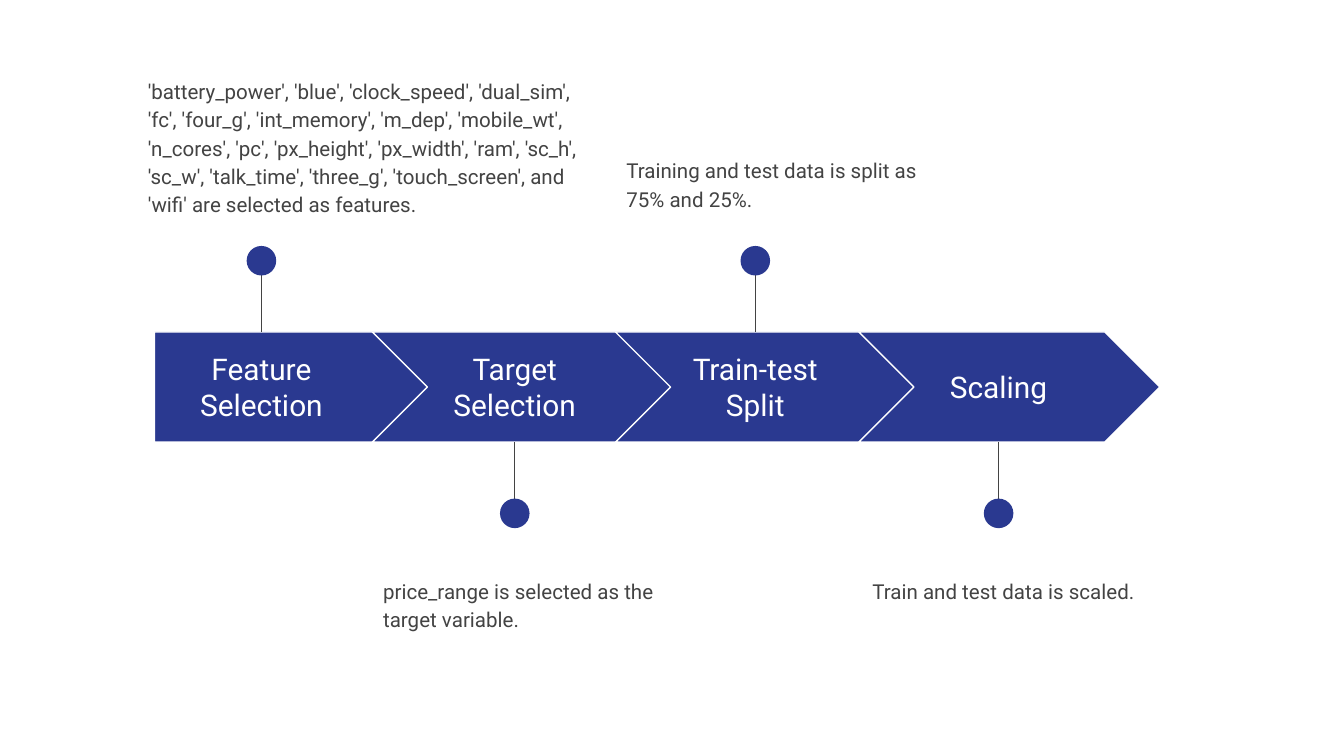
from dataclasses import dataclass

from lxml import etree
from pptx import Presentation
from pptx.dml.color import RGBColor
from pptx.enum import shapes, text
from pptx.oxml import ns
from pptx.util import Inches, Pt

NAVY = RGBColor(0x2A, 0x39, 0x90)
GREY = RGBColor(0x43, 0x43, 0x43)
WHITE = RGBColor(0xFF, 0xFF, 0xFF)
FONT = "Roboto"

SLIDE_WIDTH = 10
SLIDE_HEIGHT = SLIDE_WIDTH * 9 / 16
ARROW_TOP, ARROW_HEIGHT = 2.47, 0.82
START_LEFT, START_WIDTH = 1.15, 2.05
CHEVRON_LEFT, CHEVRON_WIDTH, CHEVRON_STEP = 2.77, 2.24, 1.81
LABEL_TOP, LABEL_HEIGHT = 2.62, 0.51
DOT_SIZE, DOT_OVERLAP = 0.22, 0.04
DOT_TOP_ABOVE, DOT_TOP_BELOW = 1.83, 3.71


@dataclass(frozen=True)
class Box:
    left: float
    top: float
    width: float
    height: float

    def emu(self) -> tuple:
        return tuple(map(Inches, (self.left, self.top, self.width, self.height)))


@dataclass(frozen=True)
class Step:
    label: str
    label_left: float
    label_width: float
    caption: str
    caption_box: Box
    above: bool


STEPS = [
    Step("Feature Selection", 1.15, 1.59,
         "'battery_power', 'blue', 'clock_speed', 'dual_sim', 'fc', 'four_g', "
         "'int_memory', 'm_dep', 'mobile_wt', 'n_cores', 'pc', 'px_height', "
         "'px_width', 'ram', 'sc_h', 'sc_w', 'talk_time', 'three_g', "
         "'touch_screen', and 'wifi' are selected as features.",
         Box(1, 0.46, 3.44, 1.37), True),
    Step("Target Selection", 3.11, 1.44,
         "price_range is selected as the target variable.",
         Box(2.75, 4.18, 2.45, 0.99), False),
    Step("Train-test Split", 4.9, 1.44,
         "Training and test data is split as 75% and 25%.",
         Box(4.56, 1.05, 2.45, 0.99), True),
    Step("Scaling", 6.71, 1.44,
         "Train and test data is scaled.",
         Box(6.39, 4.18, 2.45, 0.99), False),
]


def write_text(holder, words: str, *, size: float, color: RGBColor,
               align=text.PP_ALIGN.LEFT, anchor=text.MSO_ANCHOR.TOP,
               spacing: float = 1.0) -> None:
    frame = holder.text_frame
    frame.word_wrap = True
    frame.auto_size = text.MSO_AUTO_SIZE.NONE
    frame.vertical_anchor = anchor
    frame.margin_left = frame.margin_right = Inches(0.1)
    frame.margin_top = frame.margin_bottom = Inches(0.1)
    paragraph = frame.paragraphs[0]
    paragraph.alignment = align
    paragraph.line_spacing = spacing
    paragraph.space_before = Pt(0)
    run = paragraph.add_run()
    run.text = words
    run.font.name = FONT
    run.font.size = Pt(size)
    run.font.bold = False
    run.font.color.rgb = color


def remove_bullet(holder) -> None:
    properties = holder.text_frame.paragraphs[0]._p.get_or_add_pPr()
    properties.set("marL", "0")
    properties.set("indent", "0")
    etree.SubElement(properties, ns.qn("a:buNone"))


def add_filled(slide, kind, box: Box):
    shape = slide.shapes.add_shape(kind, *box.emu())
    shape.shadow.inherit = False
    shape.fill.solid()
    shape.fill.fore_color.rgb = NAVY
    return shape


def add_arrow(slide, position: int) -> None:
    if position == 0:
        kind, left, width = shapes.MSO_SHAPE.PENTAGON, START_LEFT, START_WIDTH
    else:
        kind, width = shapes.MSO_SHAPE.CHEVRON, CHEVRON_WIDTH
        left = CHEVRON_LEFT + (position - 1) * CHEVRON_STEP
    arrow = add_filled(slide, kind, Box(left, ARROW_TOP, width, ARROW_HEIGHT))
    arrow.line.color.rgb = WHITE
    arrow.line.width = Pt(0.75)


def add_marker(slide, center: float, above: bool) -> None:
    """Draw the stem and dot that tie an arrow to its caption."""
    if above:
        dot_top = DOT_TOP_ABOVE
        stem_start, stem_end = dot_top + DOT_OVERLAP, ARROW_TOP
    else:
        dot_top = DOT_TOP_BELOW
        stem_start = dot_top + DOT_SIZE - DOT_OVERLAP
        stem_end = ARROW_TOP + ARROW_HEIGHT
    stem = slide.shapes.add_connector(
        shapes.MSO_CONNECTOR.STRAIGHT,
        Inches(center), Inches(stem_start), Inches(center), Inches(stem_end))
    stem.line.color.rgb = GREY
    stem.line.width = Pt(0.75)
    etree.SubElement(stem._element.spPr, ns.qn("a:effectLst"))
    dot = add_filled(slide, shapes.MSO_SHAPE.OVAL,
                     Box(center - DOT_SIZE / 2, dot_top, DOT_SIZE, DOT_SIZE))
    dot.line.fill.background()


def add_step(slide, position: int, step: Step, caption) -> None:
    add_arrow(slide, position)
    label_box = Box(step.label_left, LABEL_TOP, step.label_width, LABEL_HEIGHT)
    label = slide.shapes.add_textbox(*label_box.emu())
    write_text(label, step.label, size=16, color=WHITE,
               align=text.PP_ALIGN.CENTER, anchor=text.MSO_ANCHOR.MIDDLE)
    add_marker(slide, step.label_left + step.label_width / 2, step.above)
    caption.left, caption.top, caption.width, caption.height = step.caption_box.emu()
    write_text(caption, step.caption, size=11, color=GREY, spacing=1.15)
    remove_bullet(caption)


def main() -> None:
    deck = Presentation()
    deck.slide_width, deck.slide_height = Inches(SLIDE_WIDTH), Inches(SLIDE_HEIGHT)
    comparison_layout = deck.slide_layouts[4]
    slide = deck.slides.add_slide(comparison_layout)
    title, *captions = slide.placeholders
    title._element.getparent().remove(title._element)
    for position, (step, caption) in enumerate(zip(STEPS, captions)):
        add_step(slide, position, step, caption)
    deck.save("out.pptx")


if __name__ == "__main__":
    main()
